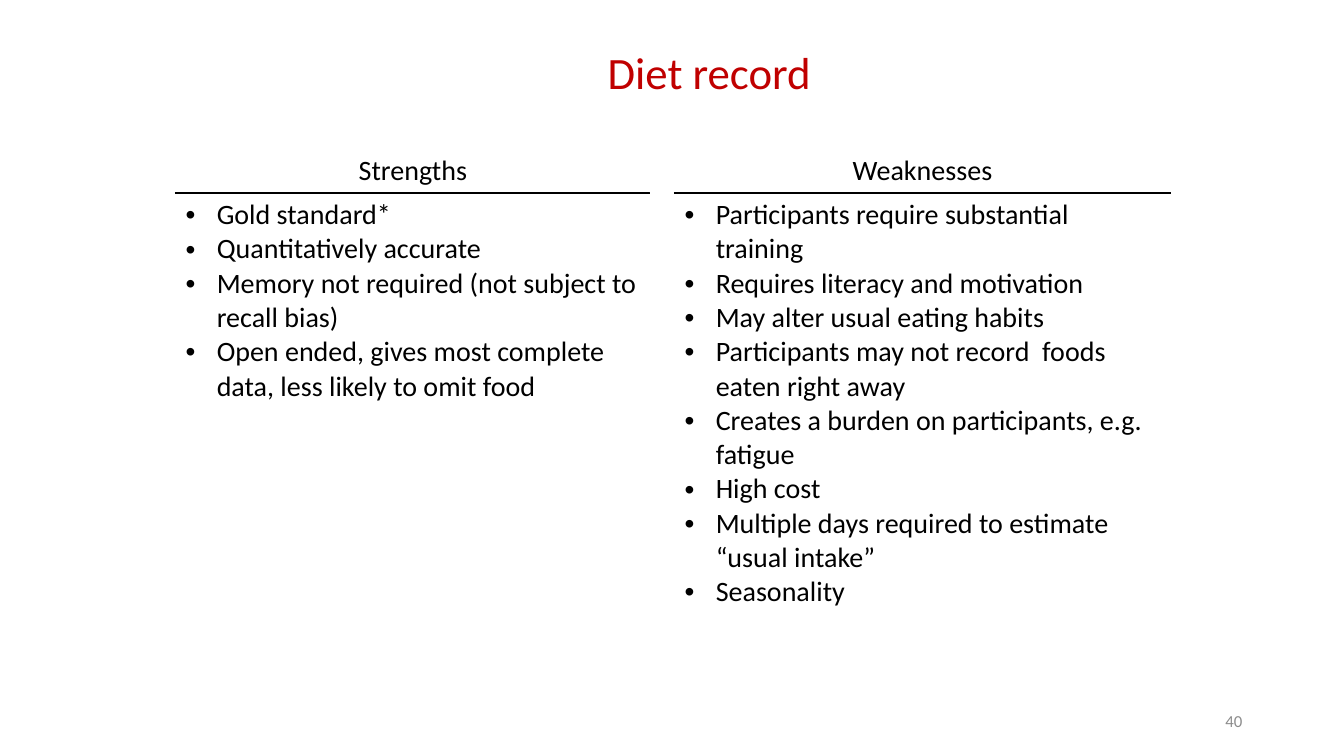
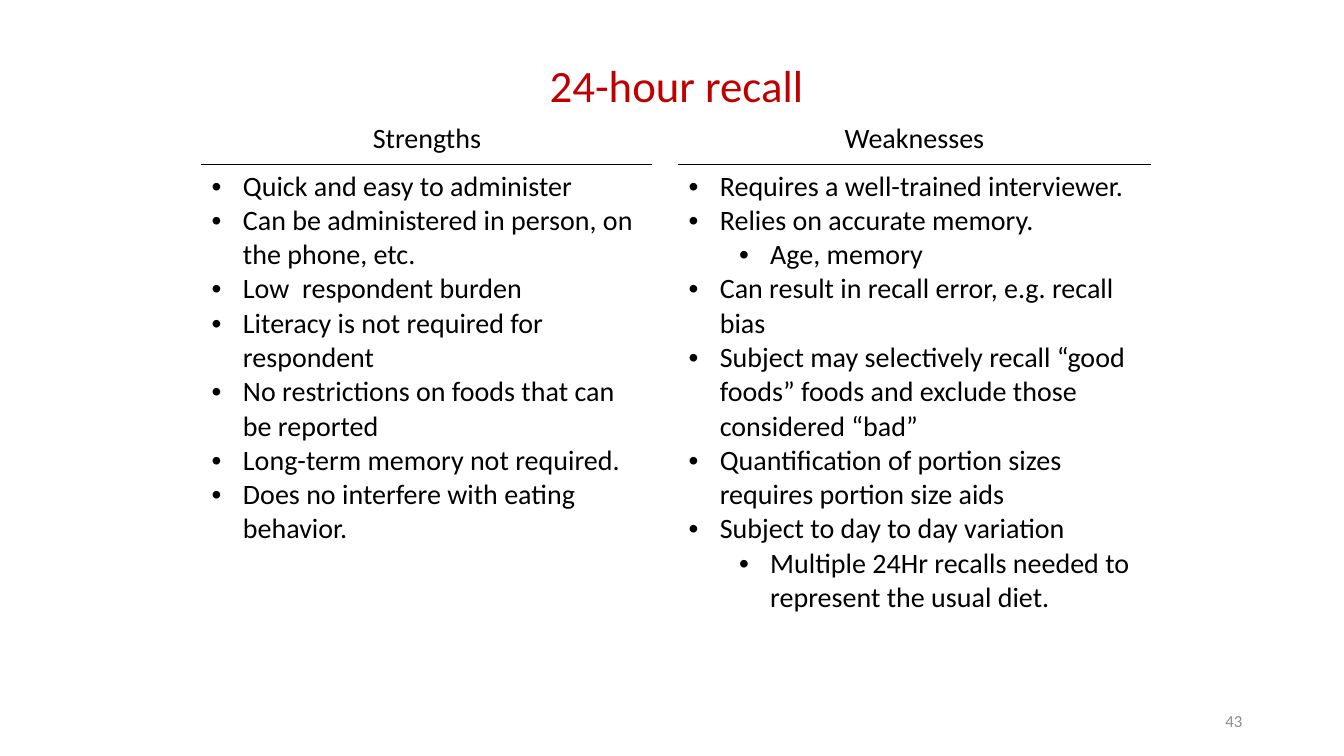
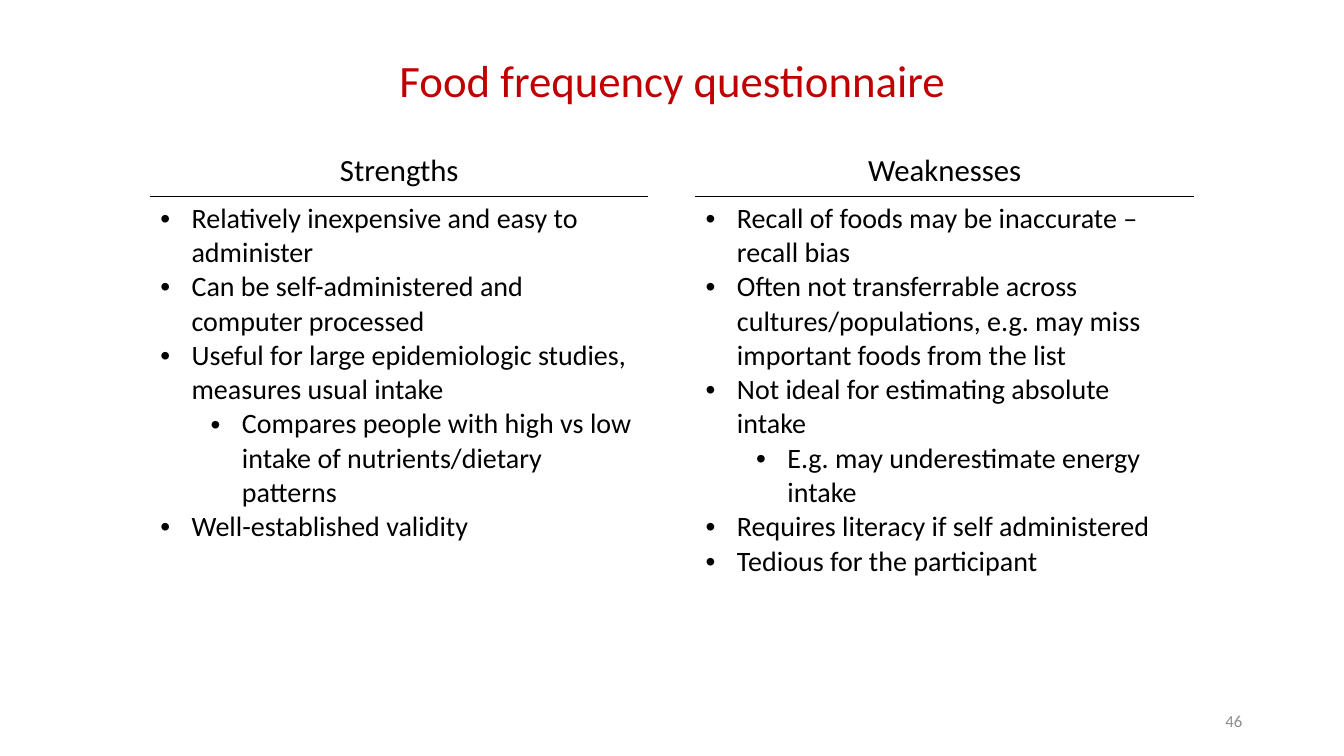
from pptx import Presentation
from pptx.dml.color import RGBColor
from pptx.enum import text as t
from pptx.oxml import parse_xml
from pptx.oxml.ns import nsdecls
from pptx.util import Inches, Pt

# Shared look
FONT = "Calibri"
TITLE_RED, BLACK, NUMBER_GREY = "C00000", "000000", "8C8C8C"
TITLE_SIZE, BULLET_SIZE, NUMBER_SIZE = 32, 20, 12
HANG, LEVEL_STEP = 0.31, 0.5


def add_run(paragraph, words, size, color, align):
    paragraph.alignment = align
    run = paragraph.add_run()
    run.text = words
    run.font.name = FONT
    run.font.size = Pt(size)
    run.font.color.rgb = RGBColor.from_string(color)


def add_line(slide, box, anchor, words, size, color, align):
    frame = slide.shapes.add_textbox(*map(Inches, box)).text_frame
    frame.word_wrap = True
    frame.vertical_anchor = anchor
    add_run(frame.paragraphs[0], words, size, color, align)


# Content: each bullet is (level, words)
METHODS = [
    dict(
        title="Diet record", title_box=(2.03, 0.39, 10.01, 0.64), number="40",
        table_at=(1.74, 1.48), columns=(4.71, 0.23, 4.92), rows=(0.43, 4.04), heading_size=20,
        strengths=[
            (0, "Gold standard*"),
            (0, "Quantitatively accurate"),
            (0, "Memory not required (not subject to recall bias)"),
            (0, "Open ended, gives most complete data, less likely to omit food"),
        ],
        weaknesses=[
            (0, "Participants require substantial training"),
            (0, "Requires literacy and motivation"),
            (0, "May alter usual eating habits"),
            (0, "Participants may not record  foods eaten right away"),
            (0, "Creates a burden on participants, e.g. fatigue"),
            (0, "High cost"),
            (0, "Multiple days required to estimate “usual intake”"),
            (0, "Seasonality"),
        ],
    ),
    dict(
        title="24-hour recall", title_box=(2.2, 0.52, 9.02, 0.64), number="43",
        table_at=(2, 1.16), columns=(4.47, 0.26, 4.68), rows=(0.47, 5.36), heading_size=20,
        strengths=[
            (0, "Quick and easy to administer"),
            (0, "Can be administered in person, on the phone, etc."),
            (0, "Low  respondent burden"),
            (0, "Literacy is not required for respondent"),
            (0, "No restrictions on foods that can be reported"),
            (0, "Long-term memory not required."),
            (0, "Does no interfere with eating behavior."),
        ],
        weaknesses=[
            (0, "Requires a well-trained interviewer."),
            (0, "Relies on accurate memory."),
            (1, "Age, memory"),
            (0, "Can result in recall error, e.g. recall bias"),
            (0, "Subject may selectively recall “good foods” foods and exclude those considered “bad”"),
            (0, "Quantification of portion sizes requires portion size aids"),
            (0, "Subject to day to day variation"),
            (1, "Multiple 24Hr recalls needed to represent the usual diet."),
        ],
    ),
    dict(
        title="Food frequency questionnaire", title_box=(1.94, 0.47, 9.46, 0.64), number="46",
        table_at=(1.49, 1.46), columns=(4.94, 0.47, 4.94), rows=(0.49, 3.95), heading_size=22,
        strengths=[
            (0, "Relatively inexpensive and easy to administer"),
            (0, "Can be self-administered and computer processed"),
            (0, "Useful for large epidemiologic studies, measures usual intake"),
            (1, "Compares people with high vs low intake of nutrients/dietary patterns"),
            (0, "Well-established validity"),
        ],
        weaknesses=[
            (0, "Recall of foods may be inaccurate – recall bias"),
            (0, "Often not transferrable across cultures/populations, e.g. may miss important foods from the list"),
            (0, "Not ideal for estimating absolute intake"),
            (1, "E.g. may underestimate energy intake"),
            (0, "Requires literacy if self administered"),
            (0, "Tedious for the participant"),
        ],
    ),
]

deck = Presentation()
deck.slide_width, deck.slide_height = Inches(13.33), Inches(7.5)

for method in METHODS:
    slide = deck.slides.add_slide(deck.slide_layouts[6])

    # Title
    add_line(slide, method["title_box"], t.MSO_ANCHOR.TOP, method["title"],
             TITLE_SIZE, TITLE_RED, t.PP_ALIGN.CENTER)

    # Two-sided table with a narrow gap column
    columns, rows = method["columns"], method["rows"]
    area = (*method["table_at"], sum(columns), sum(rows))
    table = slide.shapes.add_table(2, 3, *map(Inches, area)).table
    table.first_row = table.horz_banding = False
    for column, width in zip(table.columns, columns):
        column.width = Inches(width)
    for row, height in zip(table.rows, rows):
        row.height = Inches(height)

    for index, side in ((0, "strengths"), (2, "weaknesses")):
        heading, body = table.cell(0, index), table.cell(1, index)
        add_run(heading.text_frame.paragraphs[0], side.capitalize(),
                method["heading_size"], BLACK, t.PP_ALIGN.CENTER)

        # Rule between heading and bullets
        for cell, edge in ((heading, "lnB"), (body, "lnT")):
            cell._tc.get_or_add_tcPr().append(parse_xml(
                f'<a:{edge} {nsdecls("a")} w="{Pt(1)}"><a:solidFill>'
                f'<a:srgbClr val="{BLACK}"/></a:solidFill></a:{edge}>'))

        # Bullets
        for order, (level, words) in enumerate(method[side]):
            frame = body.text_frame
            bullet = frame.add_paragraph() if order else frame.paragraphs[0]
            bullet.level = level
            props = bullet._p.get_or_add_pPr()
            props.set("marL", str(Inches(HANG + level * LEVEL_STEP)))
            props.set("indent", str(-Inches(HANG)))
            props.append(parse_xml(f'<a:buFont {nsdecls("a")} typeface="Arial"/>'))
            props.append(parse_xml(f'<a:buChar {nsdecls("a")} char="•"/>'))
            add_run(bullet, words, BULLET_SIZE, BLACK, t.PP_ALIGN.LEFT)

    for cell in table.iter_cells():
        cell.fill.background()

    # Slide number
    add_line(slide, (9.42, 6.95, 3, 0.4), t.MSO_ANCHOR.MIDDLE, method["number"],
             NUMBER_SIZE, NUMBER_GREY, t.PP_ALIGN.RIGHT)

deck.save("out.pptx")
